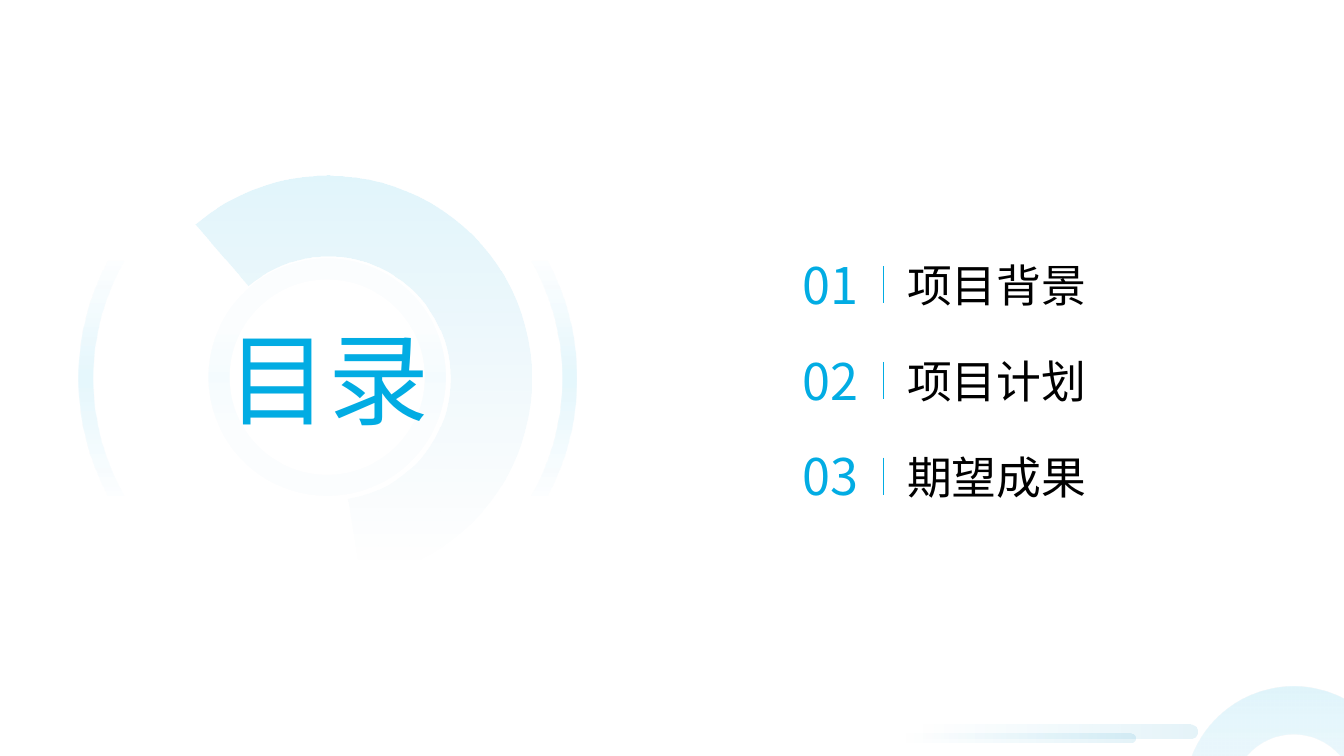
from lxml.etree import SubElement
from pptx import Presentation
from pptx.dml.color import RGBColor
from pptx.enum.shapes import MSO_CONNECTOR as Connector, MSO_SHAPE as Shape
from pptx.enum.text import MSO_AUTO_SIZE as AutoSize, PP_ALIGN as Align
from pptx.oxml.ns import qn
from pptx.util import Inches, Pt

COLORS = {"cyan": "02ACE3", "teal": "028FC4", "blue": "0E87DA", "black": "000000"}
FONT = "Noto Sans CJK SC"
COLUMNS, ROWS = 133.33, 75  # grid of 0.1 inch cells


class Painter:
    """Draws on one slide; lengths are grid columns and rows."""

    def __init__(self, deck):
        self.page = deck.slides.add_slide(deck.slide_layouts[6])
        self.column = deck.slide_width / COLUMNS
        self.row = deck.slide_height / ROWS

    def place(self, left, top, width, height):
        return (round(left * self.column), round(top * self.row),
                round(width * self.column), round(height * self.row))

    def gradient(self, fill, parent, stops, angle):
        """Fill with (position %, colour name, opacity %) stops, angle clockwise."""
        fill.gradient()
        fill.gradient_angle = (360 - angle) % 360
        stop_list = parent.find(qn("a:gradFill")).find(qn("a:gsLst"))
        for old_stop in list(stop_list):
            stop_list.remove(old_stop)
        for position, color, opacity in stops:
            stop = SubElement(stop_list, qn("a:gs"), pos=str(position * 1000))
            tint = SubElement(stop, qn("a:srgbClr"), val=COLORS[color])
            if opacity < 100:
                SubElement(tint, qn("a:alpha"), val=str(opacity * 1000))

    def shape(self, kind, at, adjustments, stops, angle=90):
        shape = self.page.shapes.add_shape(kind, *self.place(*at))
        shape.shadow.inherit = False
        shape.line.fill.background()
        for index, value in enumerate(adjustments):
            shape.adjustments[index] = value
        self.gradient(shape.fill, shape._element.spPr, stops, angle)

    def text(self, words, at, size, angle=None, wrap=False, align=Align.LEFT):
        """Write black text, or blue gradient text when an angle is given."""
        box = self.page.shapes.add_textbox(*self.place(*at))
        frame = box.text_frame
        frame.text = words
        frame.word_wrap = wrap
        frame.auto_size = AutoSize.SHAPE_TO_FIT_TEXT
        para = frame.paragraphs[0]
        para.alignment = align
        span = para.runs[0]
        span.font.size = Pt(size)
        span.font.name = FONT
        properties = span._r.get_or_add_rPr()
        east_asian = SubElement(properties, qn("a:ea"), typeface=FONT)
        properties.find(qn("a:latin")).addnext(east_asian)
        if angle is None:
            span.font.color.rgb = RGBColor.from_string(COLORS["black"])
        else:
            stops = [(0, "cyan", 100), (76, "blue", 100)]
            self.gradient(span.font.fill, properties, stops, angle)

    def divider(self, left, top, height):
        x, y, _, length = self.place(left, top, 0, height)
        line = self.page.shapes.add_connector(Connector.STRAIGHT, x, y, x, y + length)
        line.line.color.rgb = RGBColor.from_string(COLORS["cyan"])
        line.line.width = Pt(0.75)
        SubElement(line._element.spPr, qn("a:effectLst"))


def main():
    deck = Presentation()
    deck.slide_width, deck.slide_height = Inches(13.33), Inches(7.5)
    painter = Painter(deck)

    # Rings behind the title: left, top, diameter, thickness, edge and middle opacity
    for left, top, size, thickness, edge, middle in [
        (20.7, 25.7, 23.5, 0.09, 1, 4),
        (7.8, 12.8, 49.4, 0.03, 0, 10),
    ]:
        stops = [(26, "cyan", edge), (50, "cyan", middle), (74, "cyan", edge)]
        painter.shape(Shape.DONUT, (left, top, size, size), [thickness], stops)

    # Arcs around the title and in the corner
    for left, top, size, adjustments, end in [
        (12.4, 17.4, 40.3, (137.59, 48.48, 0.2), 100),
        (117.5, 68.1, 21.6, (102.56, 0.28, 0.22), 92),
    ]:
        stops = [(0, "cyan", 12), (end, "teal", 0)]
        painter.shape(Shape.BLOCK_ARC, (left, top, size, size), adjustments, stops)

    # Streaks at the bottom
    for at in [(90.1, 71.9, 28.7, 1.4), (88.6, 72.8, 24, 0.9)]:
        stops = [(0, "cyan", 0), (100, "teal", 11)]
        painter.shape(Shape.ROUNDED_RECTANGLE, at, [0.5], stops, angle=0)

    # Title
    painter.text("目录", (16.7, 30.9, 31.7, 13.1), 72, angle=45, wrap=True,
                 align=Align.CENTER)

    # Agenda
    for index, topic in enumerate(["项目背景", "项目计划", "期望成果"]):
        top = 24.7 + 9.5 * index
        painter.text(f"{index + 1:02}", (78.6, top, 7.6, 7.1), 36, angle=90)
        painter.text(topic, (89, top + 0.4, 20.5, 6.4), 32)
        painter.divider(87.6, top + 1.7, 3.7)

    deck.save("out.pptx")


if __name__ == "__main__":
    main()
